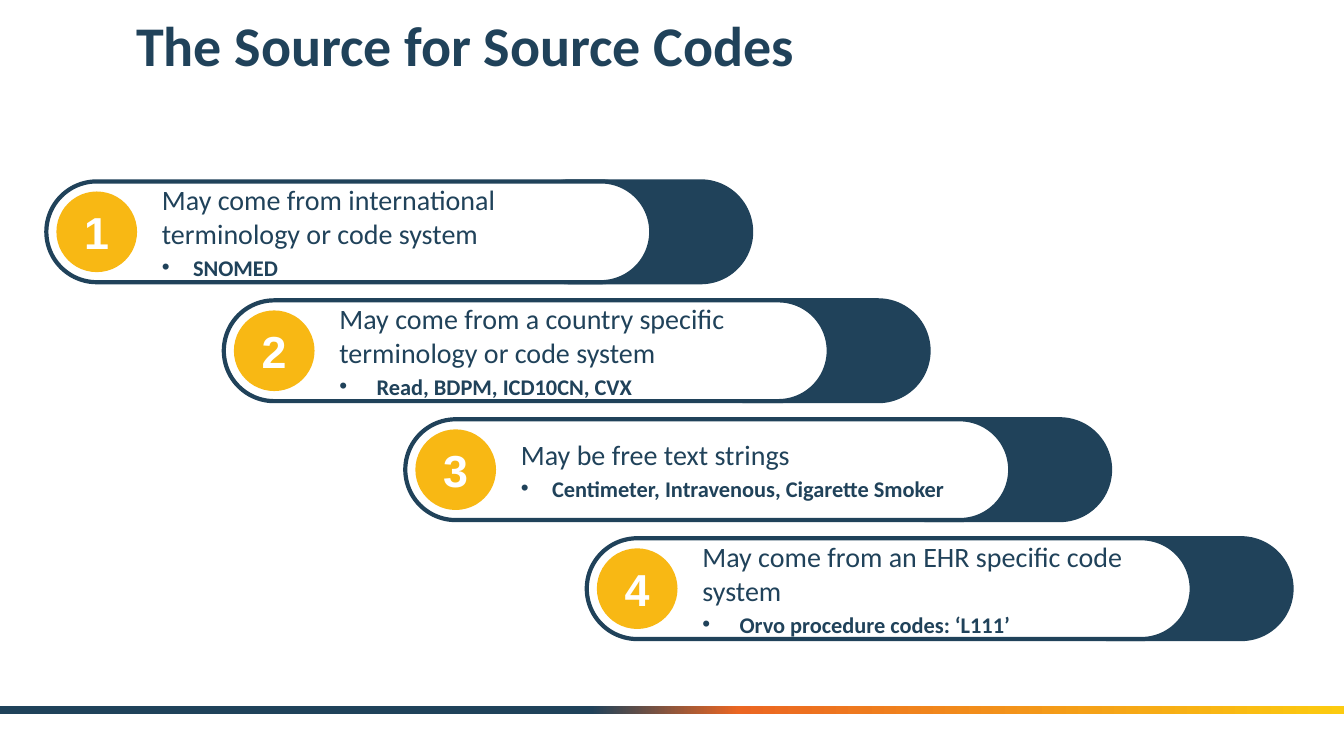
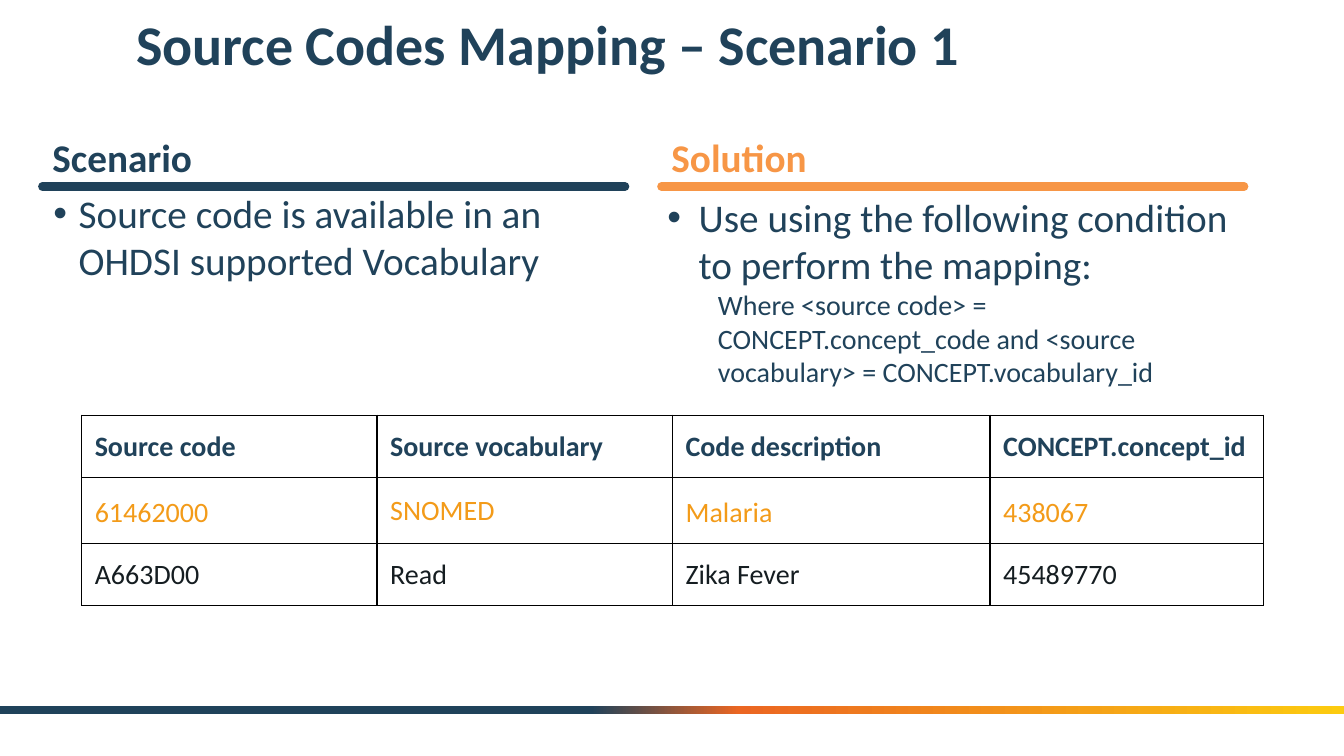
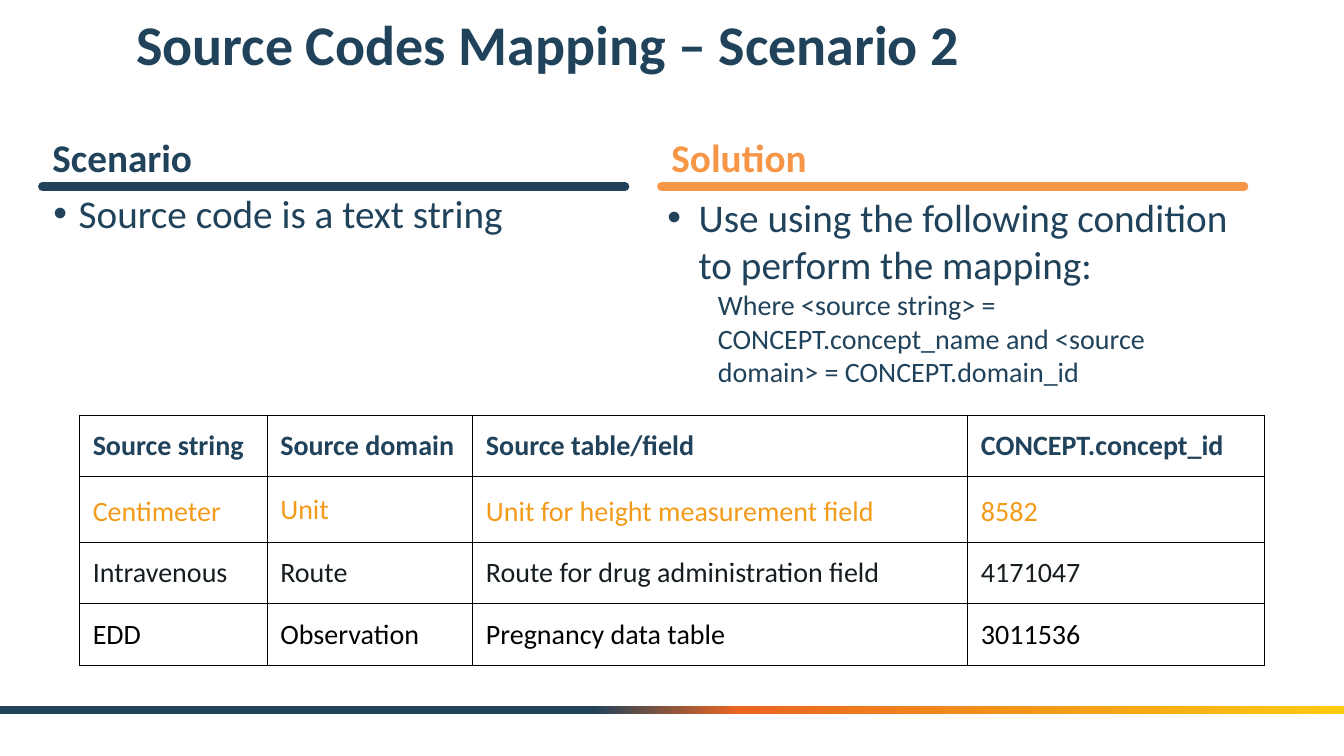
from copy import deepcopy

from lxml.etree import SubElement
from pptx import Presentation
from pptx.dml.color import RGBColor
from pptx.enum.shapes import MSO_CONNECTOR, MSO_SHAPE
from pptx.enum.text import MSO_ANCHOR, MSO_AUTO_SIZE, PP_ALIGN
from pptx.oxml.ns import qn
from pptx.util import Inches, Pt

NAVY, ORANGE, GOLD, AMBER = "20425A", "F79646", "F8B814", "F39B19"
INK, BLACK, WHITE = "151D21", "000000", "FFFFFF"
STOPS = ((0.44, NAVY), (0.55, "EB6622"), (1, "FCCB10"))
TITLE, BLANK, PAIR = 0, 5, 4


def tint(code):
    return RGBColor.from_string(code)


def place(shape, box):
    shape.left, shape.top, shape.width, shape.height = map(Inches, box)


def frame(holder, pads=(0.1, 0.05, 0.1, 0.05), anchor=MSO_ANCHOR.TOP):
    text = holder.text_frame
    text.word_wrap = True
    text.auto_size = MSO_AUTO_SIZE.NONE
    text.vertical_anchor = anchor
    text.margin_left, text.margin_top, text.margin_right, text.margin_bottom = map(Inches, pads)
    return text


def write(text, words, size=20, color=NAVY, bold=False, face="Calibri",
          align=PP_ALIGN.LEFT, lead=1, before=0, dent=0, hang=0, level=0):
    para = text.add_paragraph() if text.text else text.paragraphs[0]
    para.alignment, para.level, para.line_spacing = align, level, lead
    para.space_before = Pt(before)
    props = para._p.get_or_add_pPr()
    props.set("marL", str(Inches(dent)))
    props.set("indent", str(-Inches(hang)))
    if hang:
        SubElement(SubElement(props, qn("a:buClr")), qn("a:srgbClr"), val=NAVY)
        SubElement(props, qn("a:buFont"), typeface="Arial")
        SubElement(props, qn("a:buChar"), char="•")
    else:
        SubElement(props, qn("a:buNone"))
    run = para.add_run()
    run.text = words
    font = run.font
    font.name, font.size, font.bold = face, Pt(size), bold
    font.color.rgb = tint(color)


def solid(slide, kind, box, fill, line=None):
    shape = slide.shapes.add_shape(kind, *map(Inches, box))
    shape.shadow.inherit = False
    shape.fill.solid()
    shape.fill.fore_color.rgb = tint(fill)
    if line:
        shape.line.color.rgb = tint(line)
        shape.line.width = Pt(3)
    else:
        shape.line.fill.background()
    return shape


def band(deck, slide):
    strip = solid(slide, MSO_SHAPE.RECTANGLE, (0, 7, 13.33, 0.08), NAVY)
    strip.fill.gradient()
    strip.fill.gradient_angle = 0
    stops = strip.element.find(".//" + qn("a:gsLst"))
    stops.append(deepcopy(stops[0]))
    for stop, (spot, color) in zip(strip.fill.gradient_stops, STOPS):
        stop.position = spot
        stop.color.rgb = tint(color)
    strip.element.nvSpPr.cNvPr.set("id", "99")
    deck.slide_master.shapes.element.append(strip.element)


def start(deck, layout, words, high):
    slide = deck.slides.add_slide(deck.slide_layouts[layout])
    title = slide.shapes.title
    place(title, (1.25, 0.12, 11.42, high))
    write(frame(title, (0.1,) * 4, MSO_ANCHOR.MIDDLE), words, size=40, bold=True, lead=0.9)
    return slide


def pill(slide, left, top, number, words, sample, hang):
    for box, fill in (((left + 4.69, top, 2.3, 1), NAVY), ((left, top, 6, 1), WHITE)):
        shape = solid(slide, MSO_SHAPE.ROUNDED_RECTANGLE, box, fill, NAVY)
        shape.adjustments[0] = 0.5
    text = frame(shape, (1, 0, 0, 0), MSO_ANCHOR.MIDDLE)
    write(text, words)
    write(text, sample, size=16, bold=True, before=2.7, dent=hang, hang=hang)
    disc = solid(slide, MSO_SHAPE.OVAL, (left + 0.1, top + 0.1, 0.8, 0.8), GOLD)
    write(frame(disc, anchor=MSO_ANCHOR.MIDDLE), str(number), size=32, color=WHITE,
          bold=True, face="Arial", align=PP_ALIGN.CENTER)


def rule(slide, left, top, wide, color):
    line = slide.shapes.add_connector(
        MSO_CONNECTOR.STRAIGHT, *map(Inches, (left, top, left + wide, top)))
    line.line.color.rgb = tint(color)
    line.line.width = Pt(6)
    line.line._ln.set("cap", "rnd")
    SubElement(line.element.spPr, qn("a:effectLst"))


def panel(slide, slot, left, words, color, head, pad, lead, body):
    title, main = slide.placeholders[slot], slide.placeholders[slot + 1]
    place(title, (left, *head))
    write(frame(title, (0.1, pad, 0.1, pad)), words, size=28, color=color, bold=True, lead=lead)
    rule(slide, left, 1.85, 5.78, color)
    place(main, body)
    return frame(main)


def edge(cell):
    props = cell._tc.get_or_add_tcPr()
    for side in ("L", "R", "T", "B"):
        line = SubElement(props, qn("a:ln" + side), w=str(Pt(1)))
        SubElement(SubElement(line, qn("a:solidFill")), qn("a:srgbClr"), val=BLACK)


def table(slide, left, top, cols, high, rows):
    box = (left, top, sum(cols), high * len(rows))
    grid = slide.shapes.add_table(len(rows), len(cols), *map(Inches, box)).table
    grid.first_row = grid.horz_banding = False
    for col, wide in zip(grid.columns, cols):
        col.width = Inches(wide)
    for row, (words, color) in enumerate(zip(rows, (NAVY, AMBER, INK, BLACK))):
        grid.rows[row].height = Inches(high)
        for col, word in enumerate(words):
            cell = grid.cell(row, col)
            edge(cell)
            cell.fill.background()
            cell.vertical_anchor = MSO_ANCHOR.MIDDLE
            cell.margin_left = cell.margin_right = Inches(0.13)
            cell.margin_top = cell.margin_bottom = Inches(0.13)
            write(cell.text_frame, word, color=color, bold=row == 0,
                  lead=1.15 if row == 1 and col != 1 else 1)


def source(deck):
    slide = start(deck, BLANK, "The Source for Source Codes", 0.72)
    band(deck, slide)
    items = (
        (0.46, "May come from international terminology or code system", "SNOMED", 0.31),
        (2.22, "May come from a country specific terminology or code system",
         "Read, BDPM, ICD10CN, CVX", 0.37),
        (4.02, "May be free text strings", "Centimeter, Intravenous, Cigarette Smoker", 0.31),
        (5.82, "May come from an EHR specific code system", "Orvo procedure codes: ‘L111’", 0.37),
    )
    for step, (left, *parts) in enumerate(items):
        pill(slide, left, 1.8 + 1.18 * step, step + 1, *parts)


def mapping(deck, number, case, clause, left, cols, high, rows):
    slide = start(deck, PAIR, f"Source Codes Mapping – Scenario {number}", 0.69)
    text = panel(slide, 1, 0.42, "Scenario", NAVY, (1.33, 5.61, 0.45), 0.05, 0.9,
                 (0.42, 1.83, 5.82, 1.71))
    write(text, case, size=28, dent=0.26, hang=0.25)
    text = panel(slide, 3, 6.56, "Solution", ORANGE, (1.29, 5.43, 0.53), 0.03, 1,
                 (6.52, 1.87, 5.86, 2.62))
    write(text, "Use using the following condition to perform the mapping:",
          size=28, dent=0.31, hang=0.31)
    write(text, clause, dent=0.5, level=1)
    table(slide, left, 4.12, cols, high, rows)


def main():
    deck = Presentation()
    deck.slide_width, deck.slide_height = Inches(13.33), Inches(7.5)
    source(deck)
    mapping(
        deck, 1, "Source code is available in an OHDSI supported Vocabulary",
        "Where <source code> = CONCEPT.concept_code and "
        "<source vocabulary> = CONCEPT.vocabulary_id",
        0.81, (2.93, 2.93, 3.15, 2.71), 0.62,
        (("Source code", "Source vocabulary", "Code description", "CONCEPT.concept_id"),
         ("61462000", "SNOMED", "Malaria", "438067"),
         ("A663D00", "Read", "Zika Fever", "45489770")))
    mapping(
        deck, 2, "Source code is a text string",
        "Where <source string> = CONCEPT.concept_name and "
        "<source domain> = CONCEPT.domain_id",
        0.79, (1.86, 2.04, 4.91, 2.94), 0.61,
        (("Source string", "Source domain", "Source table/field", "CONCEPT.concept_id"),
         ("Centimeter", "Unit", "Unit for height measurement field", "8582"),
         ("Intravenous", "Route", "Route for drug administration field", "4171047"),
         ("EDD", "Observation", "Pregnancy data table", "3011536")))
    deck.save("out.pptx")


if __name__ == "__main__":
    main()
